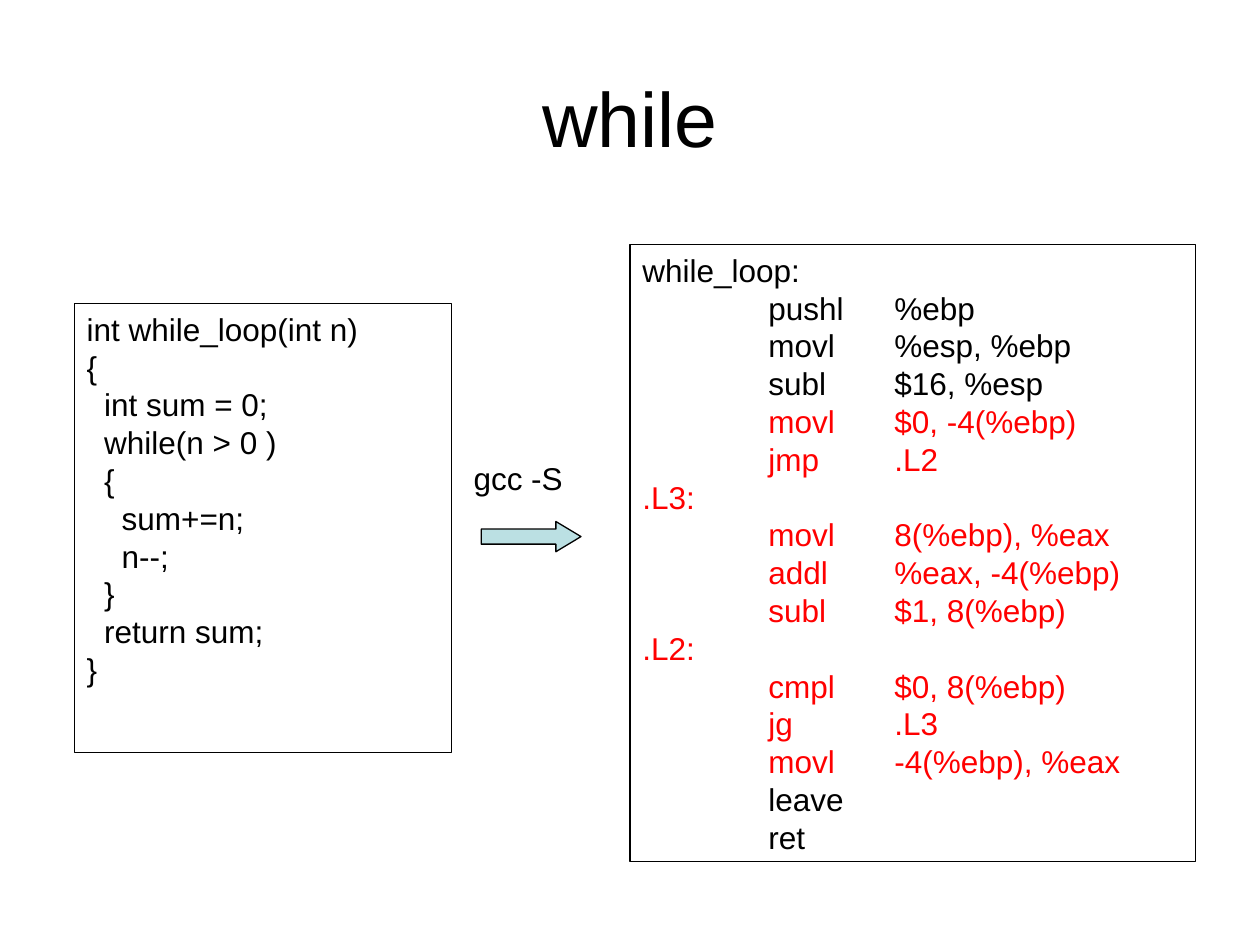
from lxml.etree import SubElement
from pptx import Presentation
from pptx.dml.color import RGBColor
from pptx.enum.shapes import MSO_SHAPE
from pptx.enum.text import MSO_ANCHOR, MSO_AUTO_SIZE, PP_ALIGN
from pptx.oxml.ns import qn
from pptx.util import Pt

BLACK = RGBColor(0x00, 0x00, 0x00)
RED = RGBColor(0xFF, 0x00, 0x00)
PALE_TEAL = RGBColor(0xBB, 0xE0, 0xE3)
FONT = "Arial"
TAB_STEP = 72

C_CODE = """int while_loop(int n)
{
  int sum = 0;
  while(n > 0 )
  {
    sum+=n;
    n--;
  }
  return sum;
}"""

# Assembly, split into the function's entry, the loop and the exit
ENTRY = """while_loop:
\tpushl\t%ebp
\tmovl\t%esp, %ebp
\tsubl\t$16, %esp"""
LOOP = """\tmovl\t$0, -4(%ebp)
\tjmp\t.L2
.L3:
\tmovl\t8(%ebp), %eax
\taddl\t%eax, -4(%ebp)
\tsubl\t$1, 8(%ebp)
.L2:
\tcmpl\t$0, 8(%ebp)
\tjg\t.L3
\tmovl\t-4(%ebp), %eax"""
EXIT = "\tleave\n\tret"


def color_lines(text, color=BLACK):
    return [(line, color) for line in text.split("\n")]


def set_tab_stops(paragraph, count):
    tab_list = SubElement(paragraph._p.get_or_add_pPr(), qn("a:tabLst"))
    for index in range(1, count + 1):
        SubElement(tab_list, qn("a:tab"), pos=str(Pt(index * TAB_STEP)), algn="l")


def write_lines(shape, lines, size=18, alignment=PP_ALIGN.LEFT, anchor=MSO_ANCHOR.TOP):
    frame = shape.text_frame
    frame.word_wrap = True
    frame.auto_size = MSO_AUTO_SIZE.NONE
    frame.vertical_anchor = anchor
    for index, (text, color) in enumerate(lines):
        paragraph = frame.add_paragraph() if index else frame.paragraphs[0]
        paragraph.alignment = alignment
        if "\t" in text:
            set_tab_stops(paragraph, 2)
        run = paragraph.add_run()
        run.text = text
        run.font.name = FONT
        run.font.size = Pt(size)
        run.font.color.rgb = color


def place(shape, left, top, width, height):
    shape.left, shape.top = Pt(left), Pt(top)
    shape.width, shape.height = Pt(width), Pt(height)


def add_title(slide, text):
    title = slide.shapes.title
    place(title, 36, 21.6, 648, 90)
    write_lines(title, [(text, BLACK)], 44, PP_ALIGN.CENTER, MSO_ANCHOR.MIDDLE)


def add_outlined_shape(slide, kind, left, top, width, height, fill=None):
    shape = slide.shapes.add_shape(kind, Pt(left), Pt(top), Pt(width), Pt(height))
    shape.shadow.inherit = False
    if fill is None:
        shape.fill.background()
    else:
        shape.fill.solid()
        shape.fill.fore_color.rgb = fill
    shape.line.color.rgb = BLACK
    shape.line.width = Pt(0.75)
    return shape


def add_code_box(slide, lines, left, top, width, height):
    box = add_outlined_shape(slide, MSO_SHAPE.RECTANGLE, left, top, width, height)
    write_lines(box, lines)


def add_label(slide, text, left, top, width, height):
    label = slide.shapes.add_textbox(Pt(left), Pt(top), Pt(width), Pt(height))
    write_lines(label, [(text, BLACK)])


def main():
    presentation = Presentation()
    presentation.slide_width, presentation.slide_height = Pt(720), Pt(540)
    slide = presentation.slides.add_slide(presentation.slide_layouts[5])

    add_title(slide, "while")

    # Compiled assembly on the right, C source on the left
    assembly = color_lines(ENTRY) + color_lines(LOOP, RED) + color_lines(EXIT)
    add_code_box(slide, assembly, 360, 139.75, 323.25, 352.75)
    add_code_box(slide, color_lines(C_CODE), 42.5, 173.5, 215.5, 256.5)

    # Compile step between the two
    arrow = add_outlined_shape(slide, MSO_SHAPE.RIGHT_ARROW, 275, 298, 57, 17.25, PALE_TEAL)
    arrow.adjustments[0] = 0.5
    arrow.adjustments[1] = 0.83
    add_label(slide, "gcc -S", 263.5, 258.5, 85, 29)

    presentation.save("out.pptx")


if __name__ == "__main__":
    main()
